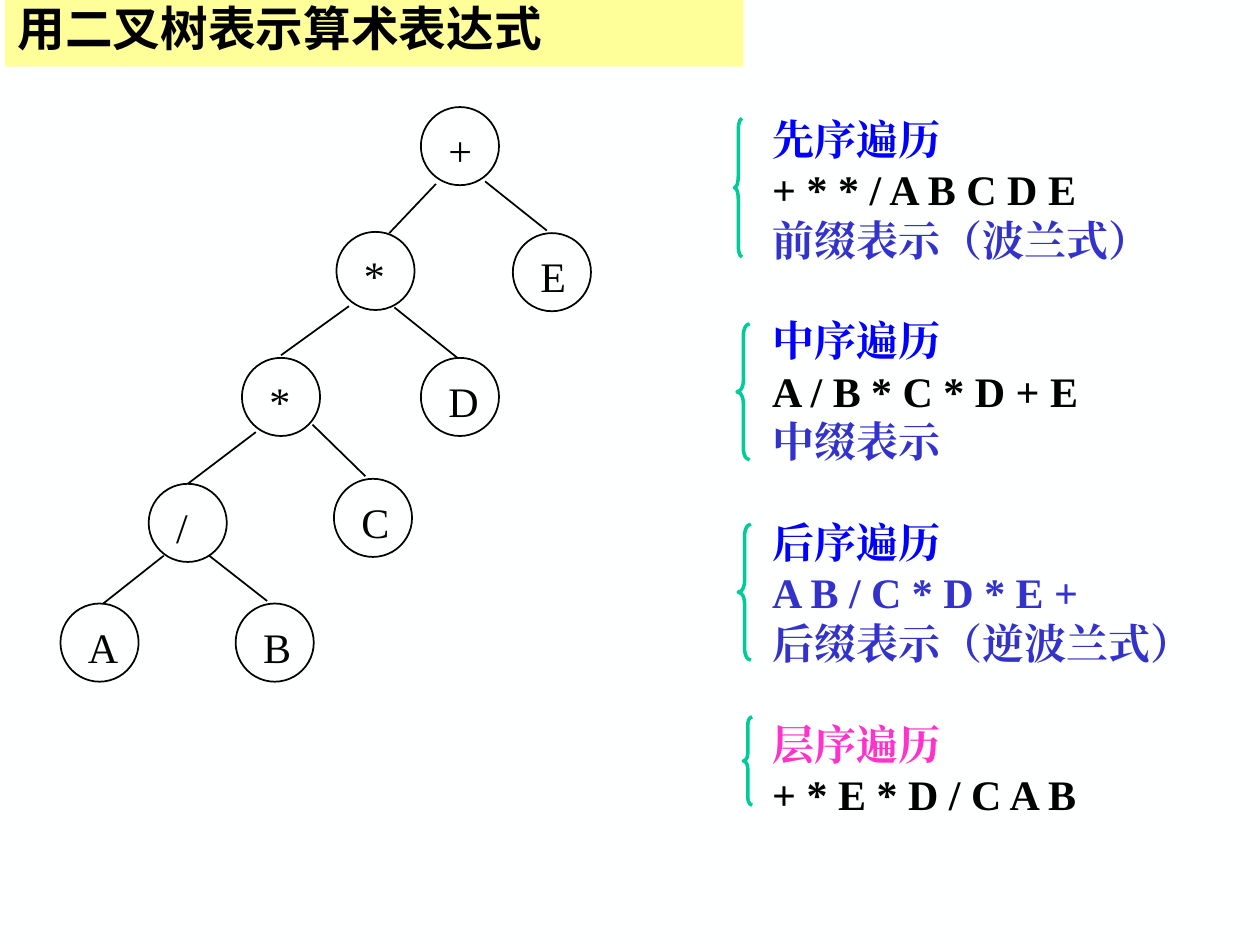
"""Build a slide on expression trees and their traversals."""
import pptx
import pptx.util
import pptx.dml.color
import pptx.enum.shapes
import pptx.enum.text
import pptx.oxml
import pptx.oxml.ns

Inches, Pt = pptx.util.Inches, pptx.util.Pt
SHAPE = pptx.enum.shapes.MSO_SHAPE
LATIN, HAN = "Times New Roman", "Noto Sans CJK SC"
COLORS = {
    "back": "FEFFFF", "band": "FFFF99", "ink": "000000", "blue": "0000FF",
    "deep": "3333CC", "pink": "FF33CC", "brace": "00CC99",
}
TITLE = "用二叉树表示算术表达式"
SIZE, LINE = 0.62, 28.8

NODES = [
    ("+", 3.34, 0.85, 0.39), ("*", 2.67, 1.84, 0.37), ("E", 4.07, 1.85, 0.41),
    ("*", 1.92, 2.84, 0.37), ("D", 3.34, 2.84, 0.44), ("/", 1.18, 3.84, 0.29),
    ("C", 2.65, 3.8, 0.42), ("A", 0.48, 4.79, 0.44), ("B", 1.87, 4.79, 0.42),
]
EDGES = [
    (3.46, 1.46, 3.09, 1.85), (3.85, 1.44, 4.34, 1.83),
    (2.77, 2.43, 2.23, 2.82), (3.13, 2.44, 3.63, 2.84),
    (2.03, 3.43, 1.49, 3.84), (2.48, 3.37, 2.9, 3.78),
    (1.3, 4.41, 0.82, 4.79), (1.66, 4.41, 2.12, 4.77),
]
ORDERS = [
    [("先序遍历", "blue"), ("+ * * / A B C D E", "ink"), ("前缀表示（波兰式）", "deep")],
    [("中序遍历", "blue"), ("A / B * C * D + E", "ink"), ("中缀表示", "deep")],
    [("后序遍历", "blue"), ("A B / C * D * E +", "deep"), ("后缀表示（逆波兰式）", "deep")],
    [("层序遍历", "pink"), ("+ * E * D / C A B", "ink")],
]
BRACES = [
    (5.83, 0.94, 0.06, 1.1), (5.85, 2.57, 0.1, 1.08),
    (5.86, 4.16, 0.1, 1.08), (5.9, 5.69, 0.07, 0.7),
]


def color(name):
    return pptx.dml.color.RGBColor.from_string(COLORS[name])


def write(para, text, size=24, font=LATIN, ink="ink", bold=False):
    run = para.add_run()
    run.text = text
    run.font.size, run.font.name, run.font.bold = Pt(size), font, bold
    run.font.color.rgb = color(ink)
    east = pptx.oxml.parse_xml(
        f'<a:ea {pptx.oxml.ns.nsdecls("a")} typeface="{font}"/>')
    run.font.fill
    run._r.get_or_add_rPr().append(east)
    para.alignment = pptx.enum.text.PP_ALIGN.LEFT


def draw(shapes, kind, box, fill=None, line=None, width=1):
    shape = shapes.add_shape(kind, *map(Inches, box))
    shape.shadow.inherit = False
    if fill:
        shape.fill.solid()
        shape.fill.fore_color.rgb = color(fill)
    else:
        shape.fill.background()
    if line:
        shape.line.color.rgb = color(line)
        shape.line.width = Pt(width)
    else:
        shape.line.fill.background()
    return shape


def frame(shapes, box):
    text = shapes.add_textbox(*map(Inches, box)).text_frame
    text.word_wrap = False
    return text


def tree(shapes):
    for text, left, top, width in NODES:
        draw(shapes, SHAPE.OVAL, (left, top, SIZE, SIZE), line="ink")
        label = frame(shapes, (left + 0.12, top + 0.09, width, 0.5))
        write(label.paragraphs[0], text)
    for ends in EDGES:
        edge = shapes.add_connector(
            pptx.enum.shapes.MSO_CONNECTOR.STRAIGHT, *map(Inches, ends))
        edge.line.color.rgb = color("ink")
        edge.line.width = Pt(1)
        edge._element.spPr.append(pptx.oxml.parse_xml(
            f'<a:effectLst {pptx.oxml.ns.nsdecls("a")}/>'))


def orders(shapes):
    body = frame(shapes, (6.03, 0.85, 3.54, 5.7))
    for group, block in enumerate(ORDERS):
        for row, (text, ink) in enumerate(block):
            first = group == row == 0
            para = body.paragraphs[0] if first else body.add_paragraph()
            para.line_spacing = Pt(LINE)
            para.space_before = Pt(LINE if group and not row else 0)
            write(para, text, ink=ink, bold=True)
    for box in BRACES:
        brace = draw(shapes, SHAPE.LEFT_BRACE, box, line="brace", width=2)
        brace.adjustments[0] = round(box[3] / box[2] / 12, 2)


def title(shapes):
    band = draw(shapes, SHAPE.RECTANGLE, (0.04, -0.03, 5.86, 0.56), fill="band")
    text = band.text_frame
    text.word_wrap = True
    text.vertical_anchor = pptx.enum.text.MSO_ANCHOR.MIDDLE
    text.paragraphs[0].line_spacing = 0.9
    write(text.paragraphs[0], TITLE, size=27.2, font=HAN, bold=True)


def main():
    deck = pptx.Presentation()
    deck.slide_width, deck.slide_height = Inches(10), Inches(7.5)
    slide = deck.slides.add_slide(deck.slide_layouts[6])
    slide.background.fill.solid()
    slide.background.fill.fore_color.rgb = color("back")
    tree(slide.shapes)
    orders(slide.shapes)
    title(slide.shapes)
    deck.save("out.pptx")


if __name__ == "__main__":
    main()
